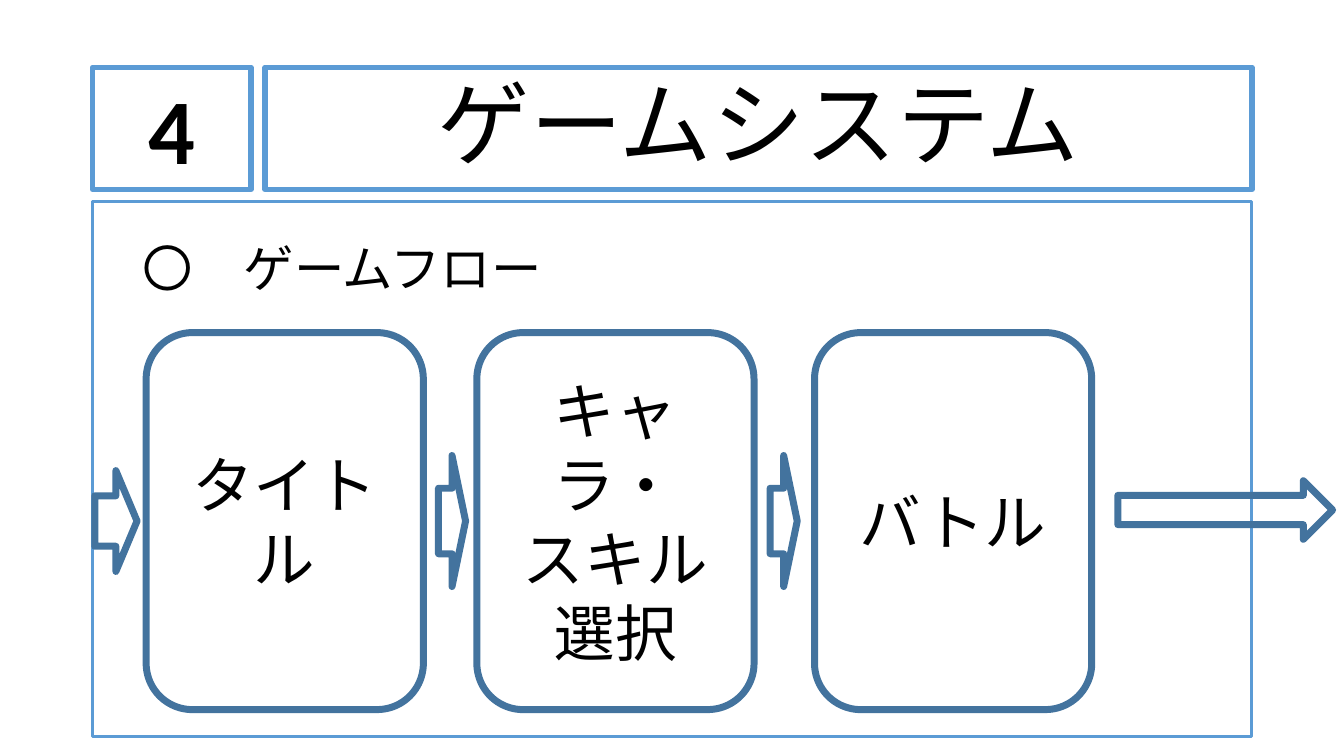
from pptx import Presentation
from pptx.dml.color import RGBColor
from pptx.enum.shapes import MSO_SHAPE
from pptx.enum.text import MSO_ANCHOR, PP_ALIGN
from pptx.util import Pt

FRAME_COLOR = "5B9BD5"
FLOW_COLOR = "43739E"
TEXT_COLOR = "000000"


def color(hex_string):
    return RGBColor.from_string(hex_string)


def add_outline(slide, kind, left, top, width, height, line_color, line_width):
    shape = slide.shapes.add_shape(kind, Pt(left), Pt(top), Pt(width), Pt(height))
    shape.shadow.inherit = False
    shape.fill.background()
    shape.line.color.rgb = color(line_color)
    shape.line.width = Pt(line_width)
    return shape


def write_text(shape, *lines, size, bold=False, align=PP_ALIGN.CENTER,
               anchor=MSO_ANCHOR.MIDDLE, spacing=None, indent=0):
    """Fill the shape with one paragraph for each line."""
    frame = shape.text_frame
    frame.word_wrap = True
    frame.vertical_anchor = anchor
    for index, line in enumerate(lines):
        paragraph = frame.add_paragraph() if index else frame.paragraphs[0]
        paragraph.text = line
        paragraph.alignment = align
        paragraph.line_spacing = spacing
        if indent:
            properties = paragraph._p.get_or_add_pPr()
            properties.set("marL", str(Pt(indent)))
            properties.set("indent", "0")
        font = paragraph.runs[0].font
        font.name = "Calibri"
        font.size = Pt(size)
        font.bold = bold
        font.color.rgb = color(TEXT_COLOR)


def add_frame(slide, left, top, width, height, line_width):
    return add_outline(slide, MSO_SHAPE.RECTANGLE, left, top, width, height,
                       FRAME_COLOR, line_width)


def add_step(slide, left, *lines):
    step = add_outline(slide, MSO_SHAPE.ROUNDED_RECTANGLE, left, 237.6, 198, 269.3,
                       FLOW_COLOR, 5)
    write_text(step, *lines, size=44)


def add_arrow(slide, left, top, width, height):
    add_outline(slide, MSO_SHAPE.RIGHT_ARROW, left, top, width, height, FLOW_COLOR, 5)


def main():
    presentation = Presentation()
    presentation.slide_width = Pt(960)
    presentation.slide_height = Pt(540)
    slide = presentation.slides.add_slide(presentation.slide_layouts[6])

    title = add_frame(slide, 189.4, 48.2, 704.9, 87.1, 4)
    write_text(title, "ゲームシステム", size=66, spacing=0.9)
    number = add_frame(slide, 66.2, 48.2, 113, 87.1, 4)
    write_text(number, "4", size=66, bold=True, anchor=MSO_ANCHOR.TOP)
    body = add_frame(slide, 66.2, 144, 828, 382.3, 2)
    write_text(body, "〇　ゲームフロー", size=36, align=PP_ALIGN.LEFT,
               anchor=MSO_ANCHOR.TOP, spacing=1.5, indent=28.8)

    add_step(slide, 104.4, "タイトル")
    add_step(slide, 340.6, "キャラ・", "スキル", "選択")
    add_step(slide, 581.8, "バトル")

    for left in (313.2, 550.1):
        add_arrow(slide, left, 325.4, 19.4, 93.6)
    add_arrow(slide, 798.5, 343.4, 153.4, 41.8)
    add_arrow(slide, 67.7, 336.2, 30.2, 72)

    presentation.save("out.pptx")


if __name__ == "__main__":
    main()
